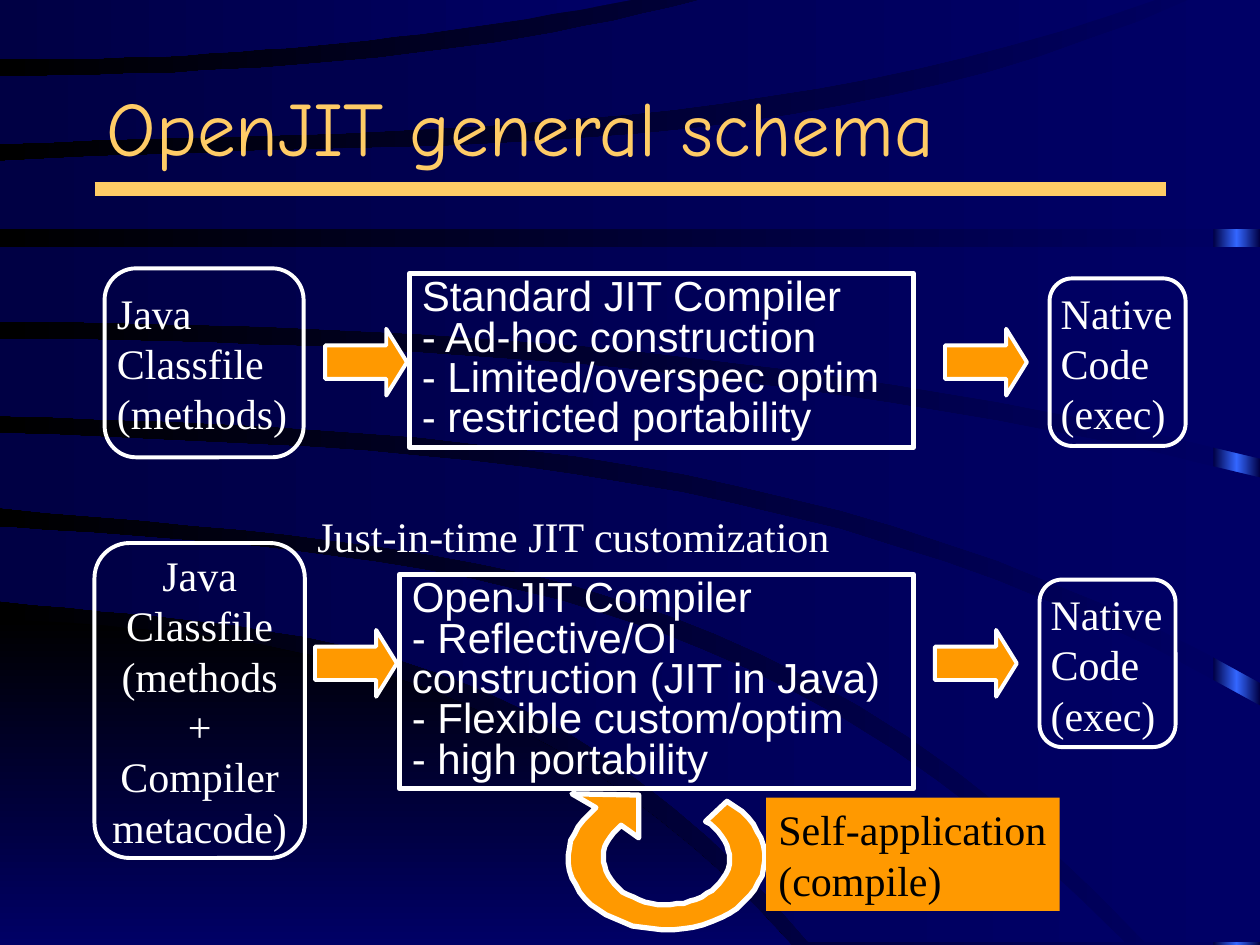
import math
from copy import deepcopy

from lxml import etree
from pptx import Presentation
from pptx import util as u
from pptx.dml.color import RGBColor
from pptx.enum import shapes, text
from pptx.oxml.ns import qn

PX = 9144  # EMU in one px, 100 px to the inch
WIDTH, HEIGHT = 1000, 750
WHITE, BLACK, GOLD, ORANGE = "FFFFFF", "000000", "FFCC66", "FF9900"
NAVY, DEEP, BLUE = "000066", "000044", "3366FF"
SERIF, SANS, COMIC = "Times New Roman", "Arial", "Comic Neue"

TITLE = "OpenJIT general schema"

# Each flow: shift of its arrows and output, source box, source text, compiler
FLOWS = [
    {"shift": (0, 0), "source_box": (83, 213, 158, 150),
     "source": ["Java", "Classfile\v(methods)"],
     "source_at": (83, 223, 155, 130), "centred": False,
     "compiler_at": (325, 217, 400, 138),
     "compiler": "Standard JIT Compiler\v- Ad-hoc construction\v"
                 "- Limited/overspec optim\v- restricted portability"},
    {"shift": (-8, 239), "source_box": (75, 431, 167, 250),
     "source": ["Java", "Classfile\v(methods\v+\vCompiler metacode)"],
     "source_at": (67, 431, 183, 250), "centred": True,
     "compiler_at": (317, 456, 408, 170),
     "compiler": "OpenJIT Compiler\v- Reflective/OI construction (JIT in Java)\v"
                 "- Flexible custom/optim\v- high portability"},
]
OUTPUT = "Native\vCode\v(exec)"
ARROW_LEFTS = (258, 750)

# Background bands: points on the upper edge, outer corners, points on the lower edge
CORNER = ([(0, 491), (218, 514), (425, 586), (628, 750)], [], [(0, 750), (628, 750)])
BANDS = [
    ([(0, 418), (335, 452), (644, 557), (893, 748)], [],
     [(0, 477), (268, 511), (492, 608), (642, 748)]),
    ([(0, 344), (343, 363), (693, 428), (1000, 560)], [(1000, 748)],
     [(0, 403), (360, 443), (678, 558), (909, 748)]),
    ([(0, 269), (349, 281), (662, 313), (1000, 379)], [],
     [(0, 330), (351, 349), (683, 410), (1000, 542)]),
    ([(0, 196), (1000, 196)], [], [(0, 255), (332, 265), (662, 298), (1000, 364)]),
    ([(0, 128), (372, 115), (734, 70), (943, 0)], [(1000, 0)], [(0, 182), (1000, 182)]),
    ([(0, 61), (233, 52), (416, 30), (556, 0)], [],
     [(0, 114), (381, 100), (683, 64), (917, 0)]),
    ([(0, 0), (501, 0)], [], [(0, 47), (202, 40), (346, 25), (501, 0)]),
]

# Self-application loop: two arcs round one centre, closed by an arrowhead
LOOP_CENTRE, LOOP_OUTER, LOOP_INNER = (529, 681), (78, 57), (50, 37)
LOOP_ANGLES = range(-52, 227, 6)
LOOP_HEAD = [(454, 630), (507, 631), (507, 665)]


def rgb(code):
    return RGBColor.from_string(code)


def emu(*lengths):
    return [length * PX for length in lengths]


def gradient(fill, first, last, angle):
    fill.gradient()
    fill.gradient_angle = angle
    for stop, color, position in zip(fill.gradient_stops, (first, last), (0, 1)):
        stop.color.rgb = rgb(color)
        stop.position = position


def paint(shape, fill=None, line=None, weight=2.25):
    shape.shadow.inherit = False
    if fill:
        shape.fill.solid()
        shape.fill.fore_color.rgb = rgb(fill)
    else:
        shape.fill.background()
    if line:
        shape.line.color.rgb = rgb(line)
        shape.line.width = u.Pt(weight)
    else:
        shape.line.fill.background()
    return shape


def add_preset(kind, box, fill=None, line=None, weight=2.25):
    return paint(slide.shapes.add_shape(kind, *emu(*box)), fill, line, weight)


def add_outline(points, **look):
    builder = slide.shapes.build_freeform(*points[0], scale=PX)
    builder.add_line_segments(points[1:], close=True)
    return paint(builder.convert_to_shape(), **look)


def smooth_edge(knots, parts=24):
    """Points of the polynomial through the knots."""
    start, end = knots[0][0], knots[-1][0]
    points = []
    for i in range(parts + 1):
        x = start + (end - start) * i / parts
        y = sum(ky * math.prod((x - ox) / (kx - ox) for ox, _ in knots if ox != kx)
                for kx, ky in knots)
        points.append((x, y))
    return points


def add_band(band, first, last, angle):
    upper, corners, lower = band
    outline = add_outline(smooth_edge(upper) + corners + smooth_edge(lower)[::-1])
    gradient(outline.fill, first, last, angle)


def arc(radii):
    return [tuple(c + r * turn(math.radians(angle))
                  for c, r, turn in zip(LOOP_CENTRE, radii, (math.cos, math.sin)))
            for angle in LOOP_ANGLES]


def write(shape, paragraphs, font=SERIF, size=24, color=WHITE, wrap=False,
          align=text.PP_ALIGN.LEFT, anchor=text.MSO_ANCHOR.TOP, spacing=None):
    frame = shape.text_frame
    frame.word_wrap = wrap
    frame.vertical_anchor = anchor
    frame.text = "\n".join(paragraphs)
    for paragraph in frame.paragraphs:
        paragraph.alignment = align
        paragraph.line_spacing = spacing
        paragraph.font.name = font
        paragraph.font.size = u.Pt(size)
        paragraph.font.color.rgb = rgb(color)


def add_text(box, paragraphs, **style):
    write(slide.shapes.add_textbox(*emu(*box)), paragraphs, **style)


prs = Presentation()
prs.slide_width, prs.slide_height = emu(WIDTH, HEIGHT)
slide = prs.slides.add_slide(prs.slide_layouts[6])
KIND = shapes.MSO_SHAPE

# Background: glowing strip at the right, under the bands
gradient(slide.background.fill, NAVY, BLACK, 180)
strip = add_preset(KIND.RECTANGLE, (963, 0, 37, HEIGHT))
gradient(strip.fill, DEEP, BLUE, 180)
stops = strip._element.spPr.find(".//" + qn("a:gsLst"))
stops.append(deepcopy(stops[0]))
for stop, position in zip(strip.fill.gradient_stops, (0, 0.5, 1)):
    stop.position = position
add_band(CORNER, BLACK, NAVY, 270)
for band in BANDS:
    add_band(band, NAVY, DEEP, 180)

# Title and its rule
rule = slide.shapes.add_connector(shapes.MSO_CONNECTOR.STRAIGHT, *emu(75, 150, 925, 150))
rule.line.color.rgb = rgb(GOLD)
rule.line.width = u.Pt(8)
etree.SubElement(rule._element.spPr, qn("a:effectLst"))
add_text((75, 50, 850, 100), [TITLE], font=COMIC, size=44, color=GOLD, wrap=True,
         anchor=text.MSO_ANCHOR.MIDDLE)

# The two flows: source, compiler, native code
for flow in FLOWS:
    dx, dy = flow["shift"]
    compiler = add_preset(KIND.RECTANGLE, flow["compiler_at"], line=WHITE, weight=3)
    write(compiler, [flow["compiler"]], font=SANS, wrap=True, spacing=0.8)
    for left in ARROW_LEFTS:
        arrow = add_preset(KIND.RIGHT_ARROW, (left + dx, 261 + dy, 65, 53), ORANGE, WHITE)
        arrow.adjustments[1] = 0.31
    centred = flow["centred"]
    add_text(flow["source_at"], flow["source"], wrap=centred,
             align=text.PP_ALIGN.CENTER if centred else text.PP_ALIGN.LEFT)
    add_text((832 + dx, 223 + dy, 109, 130), [OUTPUT])
    for box in (flow["source_box"], (833 + dx, 221 + dy, 108, 133)):
        add_preset(KIND.ROUNDED_RECTANGLE, box, line=WHITE)

# Self-application loop and labels
add_outline(arc(LOOP_OUTER) + LOOP_HEAD + arc(LOOP_INNER)[::-1],
            fill=ORANGE, line=WHITE, weight=3)
label = add_preset(KIND.RECTANGLE, (608, 633, 233, 90), ORANGE)
write(label, ["Self-application\v(compile)"], color=BLACK)
add_text((242, 400, 427, 50), ["Just-in-time JIT customization"])

prs.save("out.pptx")
